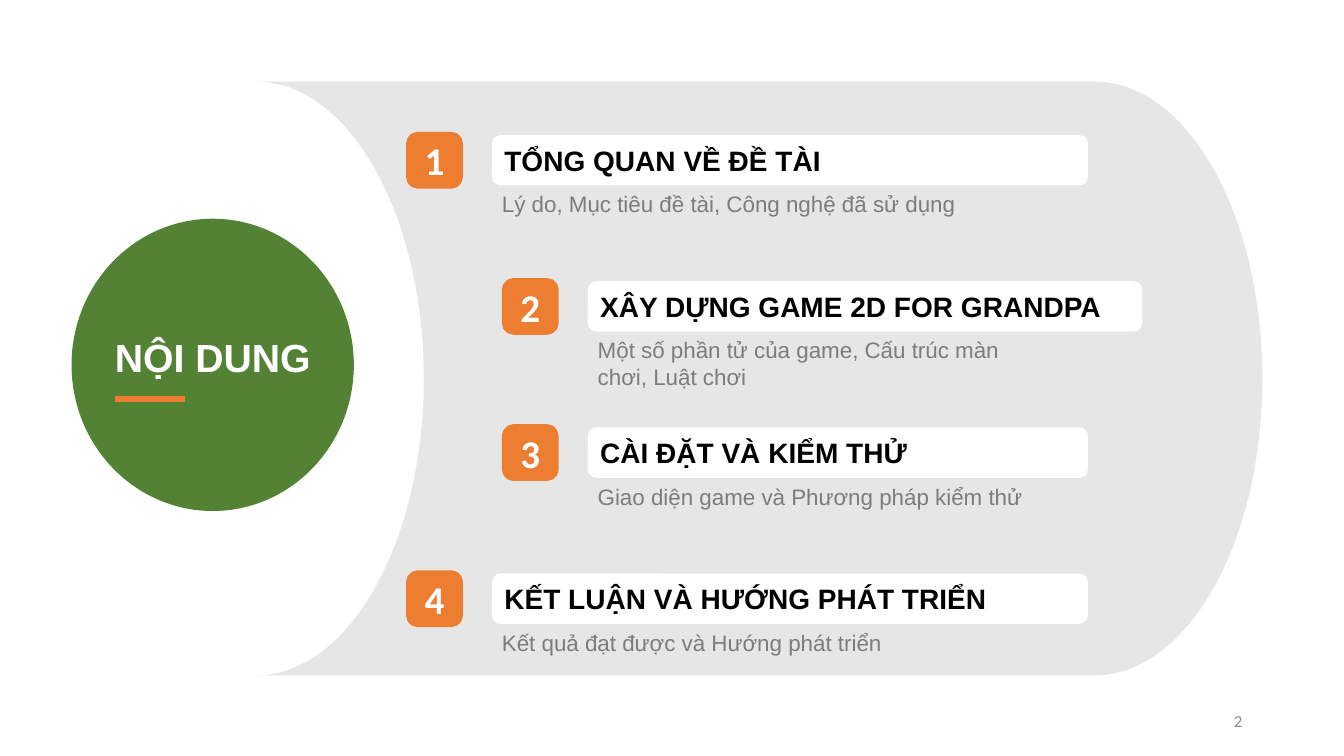
from lxml.etree import SubElement
from pptx import Presentation
from pptx.dml.color import RGBColor as Color
from pptx.enum.shapes import MSO_CONNECTOR as Connector, MSO_SHAPE as Shape
from pptx.enum.text import MSO_ANCHOR as Anchor, PP_ALIGN as Align
from pptx.oxml.ns import qn
from pptx.util import Inches, Pt

COLORS = {
    "panel": "E7E6E6", "green": "548235", "orange": "ED7D31", "white": "FFFFFF",
    "black": "000000", "caption": "7C7C7C", "page": "8C8C8C",
}
FORMATS = {
    "title": {"name": "Arial", "size": Pt(28), "bold": True},
    "number": {"name": "Calibri", "size": Pt(28), "bold": True},
    "heading": {"name": "Arial", "size": Pt(20), "bold": True},
    "caption": {"name": "Arial", "size": Pt(16)},
    "page": {"name": "Calibri", "size": Pt(12)},
}

deck = Presentation()
deck.slide_width, deck.slide_height = Inches(13.33), Inches(7.5)
page = deck.slides.add_slide(deck.slide_layouts[6])


def add_box(place, fill=None, kind=None, line=None):
    """Add a preset shape, or a text box if no kind is given."""
    area = [Inches(length) for length in place]
    if kind is None:
        return page.shapes.add_textbox(*area)
    box = page.shapes.add_shape(kind, *area)
    box.shadow.inherit = False
    box.fill.solid()
    box.fill.fore_color.rgb = Color.from_string(COLORS[fill])
    if line:
        box.line.color.rgb = Color.from_string(COLORS[line])
        box.line.width = Pt(4.5)
    else:
        box.line.fill.background()
    return box


def write(box, text, style, color, align=Align.LEFT, anchor=Anchor.MIDDLE):
    frame = box.text_frame
    frame.word_wrap = True
    frame.vertical_anchor = anchor
    para = frame.paragraphs[0]
    para.alignment = align
    span = para.add_run()
    span.text = text
    for key, value in FORMATS[style].items():
        setattr(span.font, key, value)
    span.font.color.rgb = Color.from_string(COLORS[color])


# Panel and title disc
panel = add_box((2.54, 0.81, 9.98, 5.89), "panel", Shape.FLOWCHART_STORED_DATA)
panel.rotation = 180
add_box((0.71, 2.17, 2.8, 2.9), "green", Shape.OVAL)
title = add_box((0.49, 3.26, 3.24, 0.57))
write(title, "NỘI DUNG", "title", "white", Align.CENTER, Anchor.TOP)

underline = page.shapes.add_connector(
    Connector.STRAIGHT, Inches(1.14), Inches(3.96), Inches(1.84), Inches(3.96))
underline.line.color.rgb = Color.from_string(COLORS["orange"])
underline.line.width = Pt(4.5)
SubElement(underline.element.spPr, qn("a:effectLst"))

# Agenda: indent step, right edge of the bar, heading, caption, caption width
AGENDA = [
    (0, 10.79, "TỔNG QUAN VỀ ĐỀ TÀI", "Lý do, Mục tiêu đề tài, Công nghệ đã sử dụng", 4.76),
    (1, 11.33, "XÂY DỰNG GAME 2D FOR GRANDPA",
     "Một số phần tử của game, Cấu trúc màn chơi, Luật chơi", 4.58),
    (1, 10.79, "CÀI ĐẶT VÀ KIỂM THỬ", "Giao diện game và Phương pháp kiểm thử", 4.47),
    (0, 10.79, "KẾT LUẬN VÀ HƯỚNG PHÁT TRIỂN", "Kết quả đạt được và Hướng phát triển", 4.1),
]
TOP, PITCH, LEFT, INDENT, SIDE, BAR_OFFSET = 1.34, 1.45, 4.06, 0.95, 0.5, 0.82

for row, (step, right, heading, caption, width) in enumerate(AGENDA):
    top = TOP + row * PITCH
    left = LEFT + step * INDENT
    bar_left = left + BAR_OFFSET
    badge = add_box((left, top, SIDE, SIDE), "orange", Shape.ROUNDED_RECTANGLE, "orange")
    write(badge, str(row + 1), "number", "white", Align.CENTER)
    bar = add_box((bar_left, top, right - bar_left, SIDE), "white", Shape.ROUNDED_RECTANGLE)
    write(bar, heading, "heading", "black")
    note = add_box((bar_left, top + SIDE, width, 0.37))
    write(note, caption, "caption", "caption", anchor=Anchor.TOP)

page_number = add_box((9.42, 6.95, 3, 0.4))
write(page_number, "2", "page", "page", Align.RIGHT)

deck.save("out.pptx")
